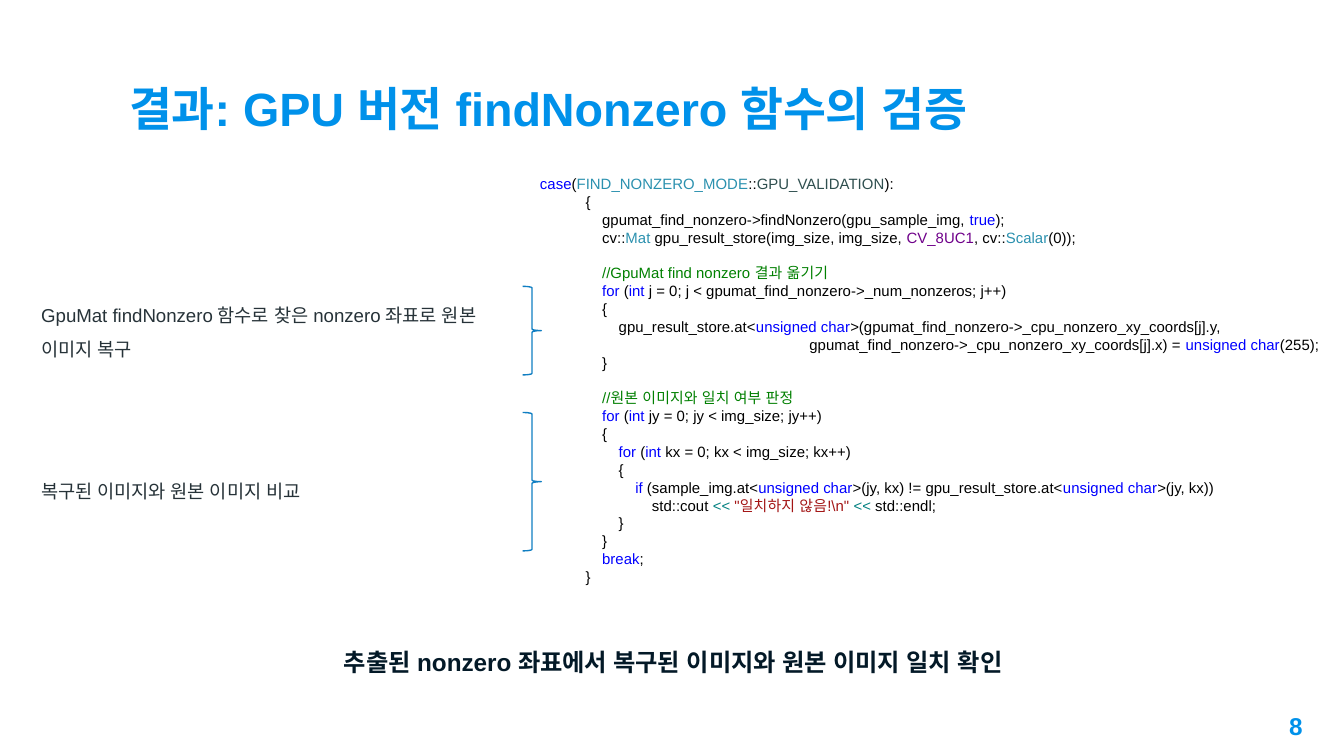
from lxml import etree
from pptx import Presentation
from pptx.dml.color import RGBColor
from pptx.enum import shapes, text
from pptx.oxml import ns
from pptx.util import Pt

FONT = "Arial"
BLUE, BODY, DARK, BRACE = "0091EA", "263238", "031927", "107EC2"
BLACK, KEYWORD, TYPE, COMMENT = "000000", "0000FF", "2B91AF", "008000"
ENUM, MACRO, OPERATOR, STRING = "2F4F4F", "6F008A", "008080", "A31515"
CODE_SIZE = 8
SPACE_WIDTH = 2.22  # one space at the code size
BLANK_LINE = 9.5

# Each line: indent in spaces, then plain strings (black) or (text, colour)
CODE = [
    (1, ("case", KEYWORD), "(", ("FIND_NONZERO_MODE", TYPE), "::",
     ("GPU_VALIDATION", ENUM), "):"),
    (12, "{"),
    (16, "gpumat_find_nonzero->findNonzero(gpu_sample_img, ", ("true", KEYWORD), ");"),
    (16, "cv::", ("Mat ", TYPE), "gpu_result_store(img_size, img_size, ",
     ("CV_8UC1", MACRO), ", cv::", ("Scalar", TYPE), "(0));"),
    (16, ("//GpuMat find nonzero 결과 옮기기", COMMENT)),
    (16, ("for", KEYWORD), " (", ("int", KEYWORD),
     " j = 0; j < gpumat_find_nonzero->_num_nonzeros; j++)"),
    (16, "{"),
    (20, "gpu_result_store.at<", ("unsigned char", KEYWORD),
     ">(gpumat_find_nonzero->_cpu_nonzero_xy_coords[j].y,"),
    (66, "gpumat_find_nonzero->_cpu_nonzero_xy_coords[j].x) = ",
     ("unsigned char", KEYWORD), "(255);"),
    (16, "}"),
    (16, ("//원본 이미지와 일치 여부 판정", COMMENT)),
    (16, ("for", KEYWORD), " (", ("int ", KEYWORD), "jy = 0; jy < img_size; jy++)"),
    (16, "{"),
    (20, ("for", KEYWORD), " (", ("int ", KEYWORD), "kx = 0; kx < img_size; kx++)"),
    (20, "{"),
    (24, ("if", KEYWORD), " (sample_img.at<", ("unsigned char", KEYWORD),
     ">(jy, kx) != gpu_result_store.at<", ("unsigned char", KEYWORD), ">(jy, kx))"),
    (28, "std::cout ", ("<< ", OPERATOR), ("\"일치하지 않음!\\n\" ", STRING),
     ("<< ", OPERATOR), "std::endl;"),
    (20, "}"),
    (16, "}"),
    (16, ("break", KEYWORD), ";"),
    (12, "}"),
]


def rgb(color):
    return RGBColor.from_string(color)


def format_run(run, size, color, bold=False):
    run.font.name = FONT
    run.font.size = Pt(size)
    run.font.bold = bold
    run.font.color.rgb = rgb(color)
    # The Korean letters take the same font
    etree.SubElement(run._r.get_or_add_rPr(), ns.qn("a:ea"), typeface=FONT)


def set_insets(frame, horizontal, vertical):
    frame.margin_left = frame.margin_right = Pt(horizontal)
    frame.margin_top = frame.margin_bottom = Pt(vertical)


def add_title(slide, box, words):
    title = slide.shapes.title
    title.left, title.top, title.width, title.height = map(Pt, box)
    frame = title.text_frame
    frame.text = words
    frame.auto_size = text.MSO_AUTO_SIZE.NONE
    frame.vertical_anchor = text.MSO_ANCHOR.BOTTOM
    set_insets(frame, 7.2, 7.2)
    paragraph = frame.paragraphs[0]
    paragraph.alignment = text.PP_ALIGN.LEFT
    format_run(paragraph.runs[0], 25, BLUE, True)


def add_text(slide, box, words, size, color, bold=False,
             align=text.PP_ALIGN.LEFT, inset=7.2, spaced=True):
    frame = slide.shapes.add_textbox(*map(Pt, box)).text_frame
    frame.word_wrap = True
    set_insets(frame, 7.2, inset)
    frame.text = words
    paragraph = frame.paragraphs[0]
    paragraph.alignment = align
    if spaced:
        paragraph.line_spacing = 1.5
        paragraph.space_before = Pt(6)
    format_run(paragraph.runs[0], size, color, bold)


def add_code(slide, box, lines):
    frame = slide.shapes.add_textbox(*map(Pt, box)).text_frame
    frame.word_wrap = True
    set_insets(frame, 7.2, 3.6)
    for index, (indent, *parts) in enumerate(lines):
        paragraph = frame.add_paragraph() if index else frame.paragraphs[0]
        properties = paragraph._p.get_or_add_pPr()
        properties.set("marL", str(Pt(indent * SPACE_WIDTH)))
        properties.set("indent", "0")
        for part in parts:
            words, color = (part, BLACK) if isinstance(part, str) else part
            run = paragraph.add_run()
            run.text = words
            format_run(run, CODE_SIZE, color)
            if color == COMMENT:  # each commented block is set apart
                paragraph.space_before = Pt(BLANK_LINE)


def add_brace(slide, box):
    brace = slide.shapes.add_shape(shapes.MSO_SHAPE.RIGHT_BRACE, *map(Pt, box))
    brace.shadow.inherit = False
    brace.fill.background()
    brace.line.color.rgb = rgb(BRACE)
    brace.line.width = Pt(0.75)


def main():
    presentation = Presentation()
    presentation.slide_width, presentation.slide_height = Pt(720), Pt(405)
    slide = presentation.slides.add_slide(presentation.slide_layouts[5])

    add_title(slide, (62, 24.5, 610.5, 55.5), "결과: GPU 버전 findNonzero 함수의 검증")
    add_code(slide, (280, 90, 440, 230.5), CODE)

    # Explanations, each with a brace around its code block
    notes = [
        ("GpuMat findNonzero 함수로 찾은 nonzero 좌표로 원본 이미지 복구",
         153.4, 41.8, 153.4, 47.5),
        ("복구된 이미지와 원본 이미지 비교", 247.7, 23, 221, 74.2),
    ]
    for words, top, height, brace_top, brace_height in notes:
        # The text stops short of the brace
        add_text(slide, (15, top, 265, height), words, 10, BODY, inset=3.6)
        add_brace(slide, (280, brace_top, 10, brace_height))

    # Conclusion and slide number
    add_text(slide, (101, 332, 519, 46), "추출된 nonzero 좌표에서 복구된 이미지와 원본 이미지 일치 확인",
             13, DARK, True, text.PP_ALIGN.CENTER)
    add_text(slide, (661.7, 373.7, 43.2, 31), "8", 13, BLUE, True,
             text.PP_ALIGN.RIGHT, spaced=False)

    presentation.save("out.pptx")


if __name__ == "__main__":
    main()
